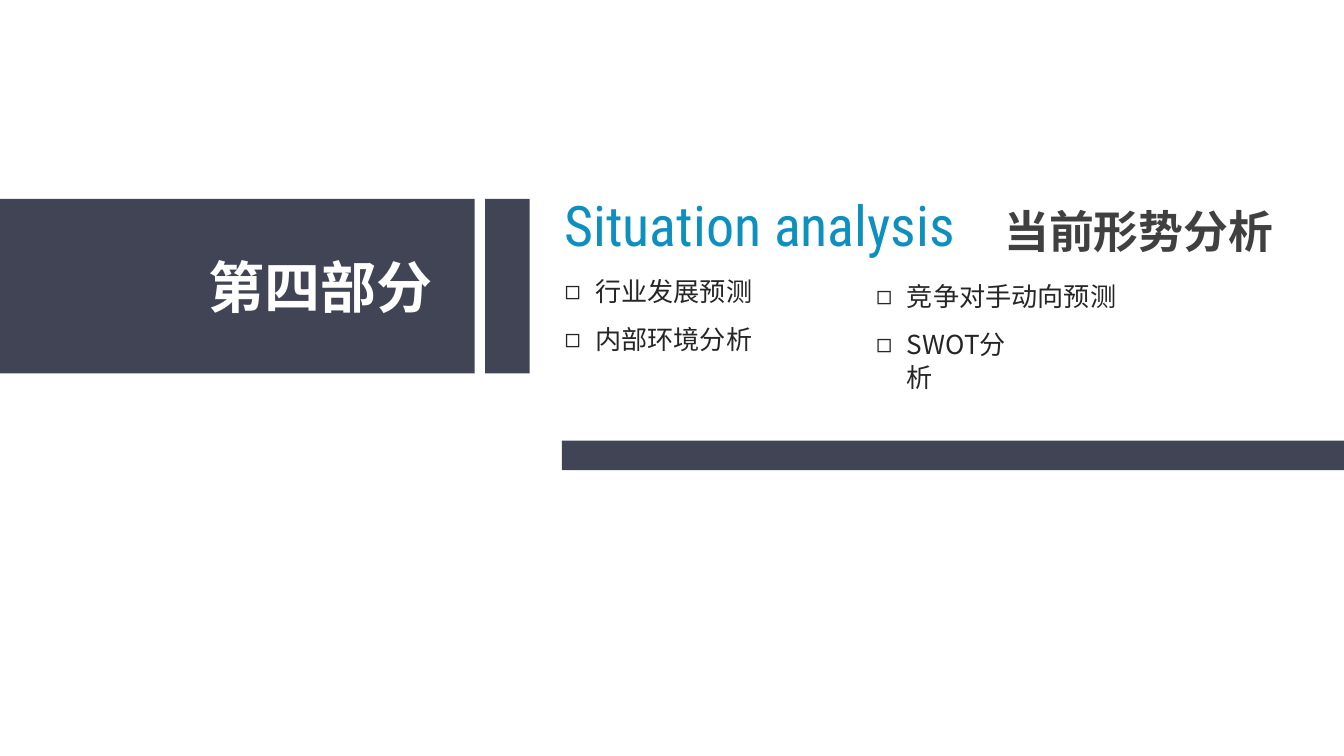
from lxml.etree import SubElement
from pptx import Presentation
from pptx.dml.color import RGBColor
from pptx.enum.shapes import MSO_SHAPE
from pptx.enum.text import MSO_ANCHOR, MSO_AUTO_SIZE, PP_ALIGN
from pptx.oxml.ns import qn
from pptx.util import Cm, Pt

COLORS = {
    "slate": "414455",
    "blue": "0E90BE",
    "white": "FFFFFF",
    "heading": "404040",
    "body": "262626",
}
CHINESE = "Noto Sans CJK SC"
LATIN = "Roboto Condensed"
COMPARISON_LAYOUT = 4  # a title and four body placeholders


def write(box, text, size, color, font=CHINESE, bold=False, bullet=None):
    frame = box.text_frame
    frame.auto_size = MSO_AUTO_SIZE.NONE
    frame.word_wrap = True
    frame.vertical_anchor = MSO_ANCHOR.TOP
    frame.margin_left = frame.margin_right = Cm(0.18)
    frame.margin_top = frame.margin_bottom = Cm(0.1)

    para = frame.paragraphs[0]
    para.alignment = PP_ALIGN.LEFT
    para.space_before = Pt(0)
    para.line_spacing = Pt(size * 1.25)
    if bullet:
        properties = para._p.get_or_add_pPr()
        properties.set("marL", str(Cm(0.58)))
        properties.set("indent", str(-Cm(0.58)))
        SubElement(properties, qn("a:buChar")).set("char", bullet)

    span = para.add_run()
    span.text = text
    span.font.size = Pt(size)
    span.font.bold = bold
    span.font.name = font
    span.font.color.rgb = RGBColor.from_string(COLORS[color])
    SubElement(span._r.get_or_add_rPr(), qn("a:ea")).set("typeface", font)


def place(box, left, top, width, height):
    box.left, box.top = Cm(left), Cm(top)
    box.width, box.height = Cm(width), Cm(height)


class SectionSlide:
    def __init__(self, deck):
        self.slide = deck.slides.add_slide(deck.slide_layouts[COMPARISON_LAYOUT])
        self.bodies = iter(list(self.slide.placeholders)[1:])

    def bar(self, left, top, width, height):
        shape = self.slide.shapes.add_shape(
            MSO_SHAPE.RECTANGLE, Cm(left), Cm(top), Cm(width), Cm(height))
        shape.shadow.inherit = False
        shape.fill.solid()
        shape.fill.fore_color.rgb = RGBColor.from_string(COLORS["slate"])
        shape.line.fill.background()

    def title(self, text, *bounds):
        box = self.slide.shapes.title
        place(box, *bounds)
        write(box, text, size=30, color="blue", font=LATIN)

    def label(self, text, *bounds, size, color):
        box = self.slide.shapes.add_textbox(*map(Cm, bounds))
        write(box, text, size=size, color=color, bold=True)

    def topic(self, text, *bounds):
        box = next(self.bodies)
        place(box, *bounds)
        write(box, text, size=14, color="body", bullet="◻")


def main():
    deck = Presentation()
    deck.slide_width, deck.slide_height = Cm(25.4), Cm(14.29)
    section = SectionSlide(deck)

    section.bar(0, 3.76, 8.97, 3.3)
    section.bar(9.17, 3.76, 0.84, 3.3)
    section.bar(10.62, 8.33, 14.78, 0.56)

    section.label("第四部分", 3.76, 4.62, 4.65, 1.47, size=30, color="white")
    section.title("Situation analysis", 10.49, 3.45, 8.28, 1.47)
    section.label("当前形势分析", 18.8, 3.71, 5.51, 1.22, size=24, color="heading")

    columns = [
        (10.49, 5.08, [("行业发展预测", 3.99), ("内部环境分析", 3.99)]),
        (16.38, 5.18, [("竞争对手动向预测", 4.98), ("SWOT分析", 3.3)]),
    ]
    for left, top, topics in columns:
        for row, (text, width) in enumerate(topics):
            section.topic(text, left, top + row * 0.91, width, 0.79)

    deck.save("out.pptx")


if __name__ == "__main__":
    main()
